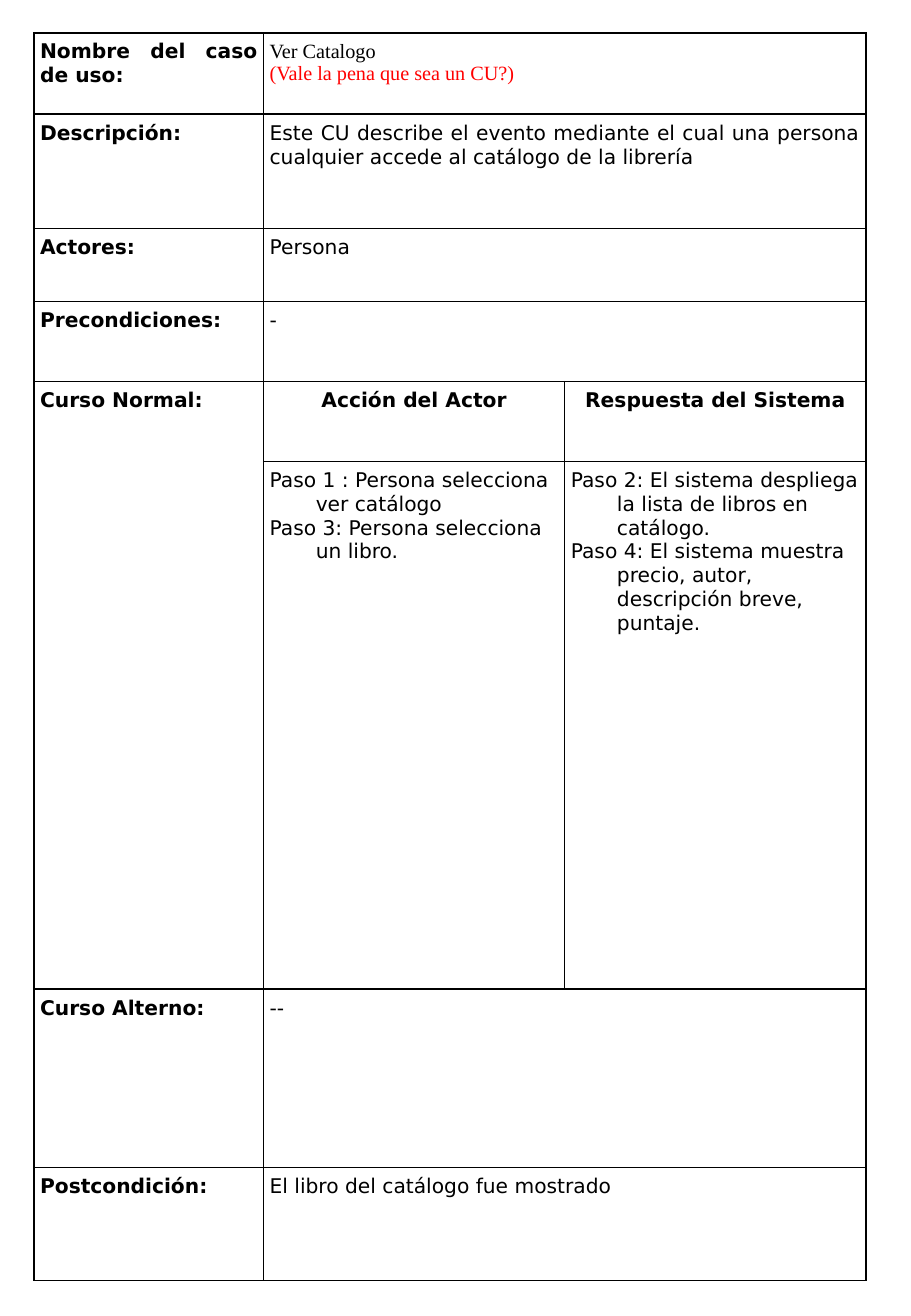
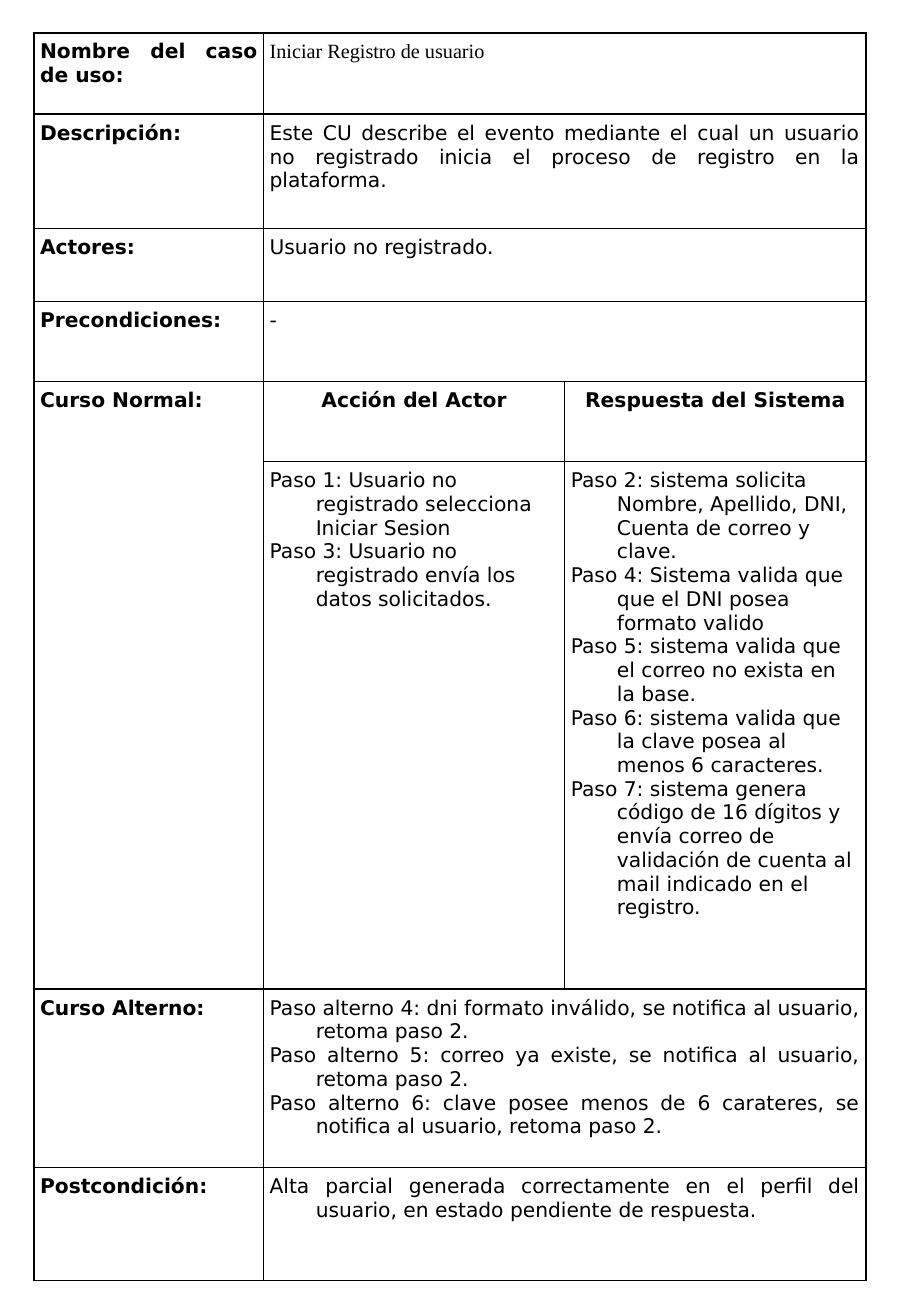
from lxml import etree
from pptx import Presentation
from pptx.dml.color import RGBColor
from pptx.enum.text import PP_ALIGN
from pptx.oxml.ns import qn
from pptx.util import Inches, Pt

COLORS = {"text": "000000", "note": "FF0000", "border": "000000", "cell": "FFFFFF"}
BODY_FONT, NAME_FONT = "DejaVu Sans", "Times New Roman"
FONT_SIZE = Pt(12)

LABELS = ["Nombre del caso de uso:", "Descripción:", "Actores:", "Precondiciones:",
          "Curso Normal:", "Curso Alterno:", "Postcondición:"]
COURSE_HEADERS = ["Acción del Actor", "Respuesta del Sistema"]

USE_CASES = [
    {
        "name": ["Ver Catalogo"],
        "note": ["(Vale la pena que sea un CU?)"],
        "summary": [
            ["Este CU describe el evento mediante el cual una persona cualquier "
             "accede al catálogo de la librería"],
            ["Persona"],
            ["-"],
        ],
        "steps": [
            ["Paso 1 : Persona selecciona ver catálogo",
             "Paso 3: Persona selecciona un libro."],
            ["Paso 2: El sistema despliega la lista de libros en catálogo.",
             "Paso 4: El sistema muestra precio, autor, descripción breve, puntaje."],
        ],
        "outcome": [["--"], ["El libro del catálogo fue mostrado"]],
    },
    {
        "name": ["Iniciar Registro de usuario"],
        "note": [],
        "summary": [
            ["Este CU describe el evento mediante el cual un usuario no registrado "
             "inicia el proceso de registro en la plataforma."],
            ["Usuario no registrado."],
            ["-"],
        ],
        "steps": [
            ["Paso 1: Usuario no registrado selecciona Iniciar Sesion",
             "Paso 3: Usuario no registrado envía los datos solicitados."],
            ["Paso 2: sistema solicita Nombre, Apellido, DNI, Cuenta de correo y clave.",
             "Paso 4: Sistema valida que que el DNI posea formato valido",
             "Paso 5: sistema valida que el correo no exista en la base.",
             "Paso 6: sistema valida que la clave posea al menos 6 caracteres.",
             "Paso 7: sistema genera código de 16 dígitos y envía correo de "
             "validación de cuenta al mail indicado en el registro."],
        ],
        "outcome": [
            ["Paso alterno 4: dni formato inválido, se notifica al usuario, retoma paso 2.",
             "Paso alterno 5: correo ya existe, se notifica al usuario, retoma paso 2.",
             "Paso alterno 6: clave posee menos de 6 carateres, se notifica al usuario, "
             "retoma paso 2."],
            ["Alta parcial generada correctamente en el perfil del usuario, "
             "en estado pendiente de respuesta."],
        ],
    },
]

LEFT, TOP = 0.28, 0.27
COLUMNS = [1.89, 2.48, 2.48]
ROWS = [0.67, 0.94, 0.6, 0.66, 0.66, 4.34, 1.47, 0.93]
COURSE_ROW = 4                  # heads the normal course; its steps are one row below
STEPS_ROW = COURSE_ROW + 1
HANGING = Inches(0.38)


def format_cell(cell):
    cell.margin_left = cell.margin_right = Inches(0.05)
    cell.margin_top = cell.margin_bottom = Inches(0.06)
    properties = cell._tc.get_or_add_tcPr()
    for side in ("a:lnL", "a:lnR", "a:lnT", "a:lnB"):
        line = etree.SubElement(properties, qn(side), w=str(Pt(1)))
        fill = etree.SubElement(line, qn("a:solidFill"))
        etree.SubElement(fill, qn("a:srgbClr"), val=COLORS["border"])
    cell.fill.solid()
    cell.fill.fore_color.rgb = RGBColor.from_string(COLORS["cell"])


def write(cell, lines, align=PP_ALIGN.JUSTIFY, bold=False, font=BODY_FONT, hanging=False):
    cell.text_frame.text = "\n".join(lines)
    for paragraph in cell.text_frame.paragraphs:
        paragraph.alignment = align
        if hanging:
            indents = paragraph._p.get_or_add_pPr()
            indents.set("marL", str(HANGING))
            indents.set("indent", str(-HANGING))
        for run in paragraph.runs:
            run.font.name, run.font.size, run.font.bold = font, FONT_SIZE, bold
            run.font.color.rgb = RGBColor.from_string(COLORS["text"])


def add_use_case(slide, case):
    table = slide.shapes.add_table(
        len(ROWS), len(COLUMNS), Inches(LEFT), Inches(TOP),
        Inches(sum(COLUMNS)), Inches(sum(ROWS))).table
    table.first_row = table.horz_banding = False
    for column, width in zip(table.columns, COLUMNS):
        column.width = Inches(width)
    for row, height in zip(table.rows, ROWS):
        row.height = Inches(height)
    for cell in table.iter_cells():
        format_cell(cell)

    table.cell(COURSE_ROW, 0).merge(table.cell(STEPS_ROW, 0))
    field_rows = [row for row in range(len(ROWS)) if row != STEPS_ROW]
    for row, label in zip(field_rows, LABELS):
        write(table.cell(row, 0), [label], bold=True, hanging=row >= COURSE_ROW)

    value_rows = [row for row in field_rows if row != COURSE_ROW]
    values = [case["name"] + case["note"], *case["summary"], *case["outcome"]]
    for row, lines in zip(value_rows, values):
        table.cell(row, 1).merge(table.cell(row, 2))
        write(table.cell(row, 1), lines, font=BODY_FONT if row else NAME_FONT,
              hanging=row > COURSE_ROW)
    for note in table.cell(0, 1).text_frame.paragraphs[len(case["name"]):]:
        note.runs[0].font.color.rgb = RGBColor.from_string(COLORS["note"])

    for column, (header, steps) in enumerate(zip(COURSE_HEADERS, case["steps"]), 1):
        write(table.cell(COURSE_ROW, column), [header], PP_ALIGN.CENTER,
              bold=True, hanging=True)
        write(table.cell(STEPS_ROW, column), steps, PP_ALIGN.LEFT, hanging=True)


def main():
    deck = Presentation()
    deck.slide_width, deck.slide_height = Inches(7.5), Inches(10.83)
    blank = deck.slide_layouts[6]
    for case in USE_CASES:
        add_use_case(deck.slides.add_slide(blank), case)
    deck.save("out.pptx")


if __name__ == "__main__":
    main()
